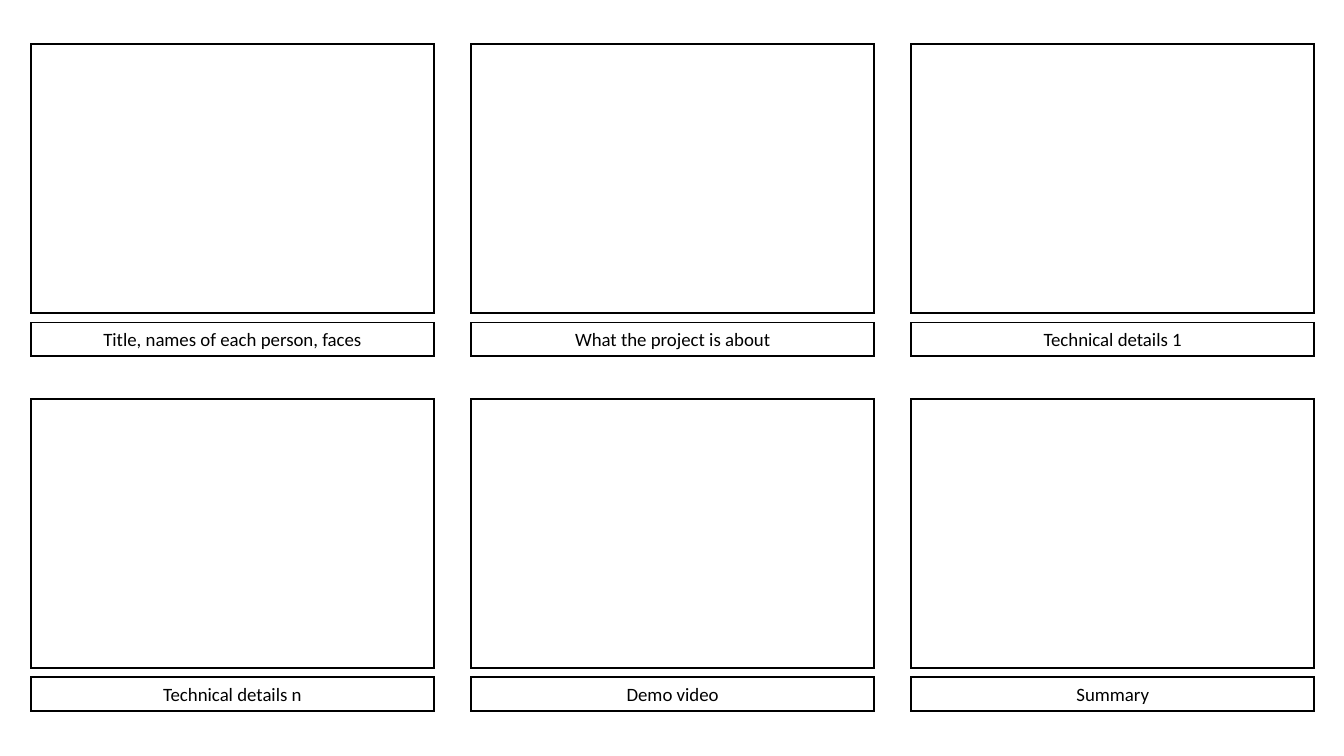
import dataclasses

import lxml.etree
import pptx
import pptx.dml.color
import pptx.enum.shapes
import pptx.enum.text
import pptx.oxml.ns
import pptx.util

Inches = pptx.util.Inches
Pt = pptx.util.Pt


@dataclasses.dataclass(frozen=True)
class Theme:
    ink: pptx.dml.color.RGBColor = pptx.dml.color.RGBColor(0, 0, 0)
    font: str = "Calibri"
    caption_size: float = 10.1
    line_width: float = 1


class Storyboard:
    def __init__(self, page, theme):
        self.page = page
        self.theme = theme

    def frame(self, left, top, width, height):
        box = self.page.shapes.add_shape(
            pptx.enum.shapes.MSO_SHAPE.RECTANGLE,
            Inches(left), Inches(top), Inches(width), Inches(height),
        )
        box.shadow.inherit = False
        box.fill.background()
        box.line.color.rgb = self.theme.ink
        box.line.width = Pt(self.theme.line_width)
        outline = box.element.spPr.find(pptx.oxml.ns.qn("a:ln"))
        lxml.etree.SubElement(outline, pptx.oxml.ns.qn("a:miter"), lim="800000")
        return box

    def caption(self, left, top, width, height, text):
        text_frame = self.frame(left, top, width, height).text_frame
        text_frame.word_wrap = True
        text_frame.vertical_anchor = pptx.enum.text.MSO_ANCHOR.MIDDLE
        text_frame.margin_left = text_frame.margin_right = Inches(0.07)
        text_frame.margin_top = text_frame.margin_bottom = Inches(0.04)
        para = text_frame.paragraphs[0]
        para.alignment = pptx.enum.text.PP_ALIGN.CENTER
        span = para.add_run()
        span.text = text
        span.font.name = self.theme.font
        span.font.size = Pt(self.theme.caption_size)
        span.font.color.rgb = self.theme.ink


CAPTIONS = [
    ["Title, names of each person, faces", "What the project is about", "Technical details 1"],
    ["Technical details n", "Demo video", "Summary"],
]
SLIDE_WIDTH = 10
SLIDE_HEIGHT = SLIDE_WIDTH * 9 / 16
FIRST_LEFT, LAST_LEFT = 0.23, 6.78
FIRST_TOP, ROW_PITCH = 0.33, 2.64
PANEL_WIDTH, PANEL_HEIGHT = 3, 2
CAPTION_OFFSET, CAPTION_HEIGHT = 2.07, 0.25


def main():
    deck = pptx.Presentation()
    deck.slide_width = Inches(SLIDE_WIDTH)
    deck.slide_height = Inches(SLIDE_HEIGHT)
    page = deck.slides.add_slide(deck.slide_layouts[6])
    board = Storyboard(page, Theme())
    for row, captions in enumerate(CAPTIONS):
        column_pitch = (LAST_LEFT - FIRST_LEFT) / (len(captions) - 1)
        top = FIRST_TOP + row * ROW_PITCH
        for column, text in enumerate(captions):
            left = FIRST_LEFT + column * column_pitch
            board.frame(left, top, PANEL_WIDTH, PANEL_HEIGHT)
            board.caption(left, top + CAPTION_OFFSET, PANEL_WIDTH, CAPTION_HEIGHT, text)
    deck.save("out.pptx")


if __name__ == "__main__":
    main()
